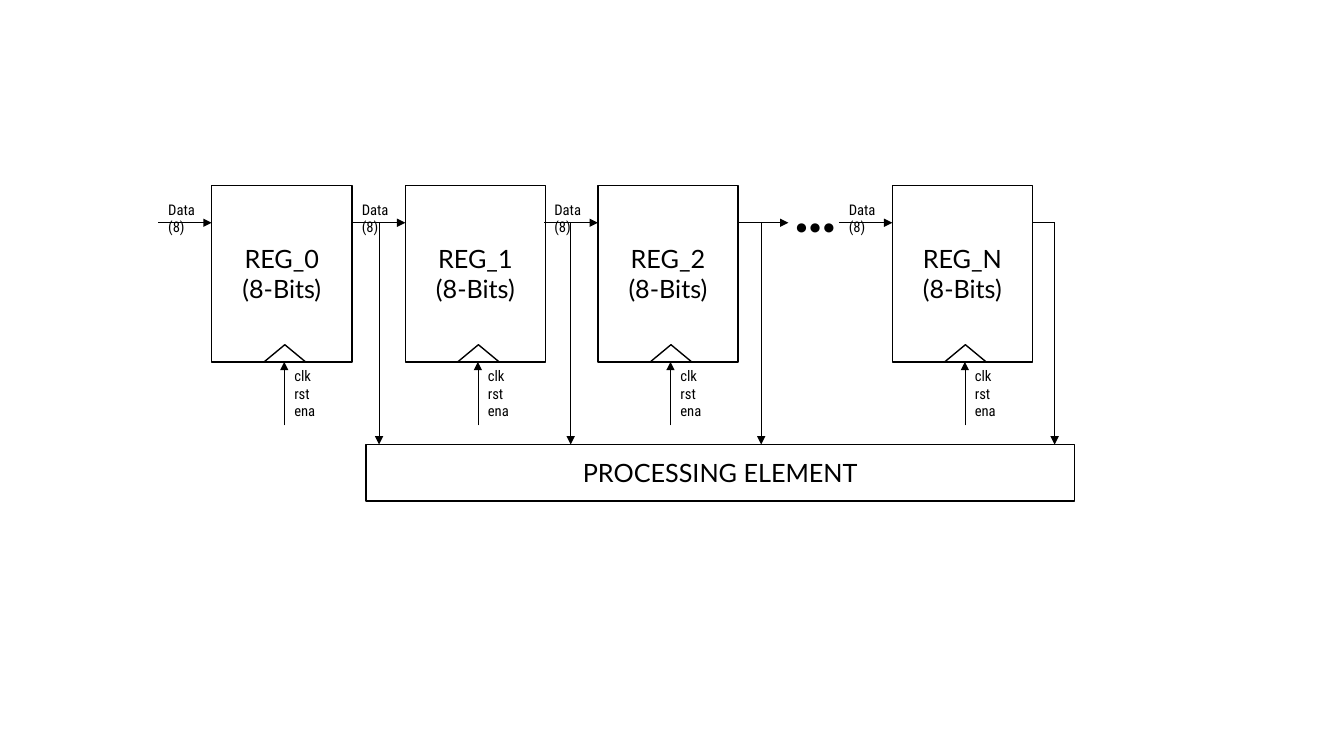
import pptx
import pptx.util
import pptx.dml.color
import pptx.enum.shapes
import pptx.enum.text
import pptx.oxml.ns
import lxml.etree

KIND = pptx.enum.shapes.MSO_SHAPE
ALIGN = pptx.enum.text.PP_ALIGN
ANCHOR = pptx.enum.text.MSO_ANCHOR
FIT = pptx.enum.text.MSO_AUTO_SIZE
INCH = pptx.util.Inches

THEME = {
    "ink": pptx.dml.color.RGBColor(0, 0, 0),
    "paper": pptx.dml.color.RGBColor(255, 255, 255),
    "block": {"font": "Lato", "size": 18},
    "note": {"font": "Roboto Condensed", "size": 10.5},
    "dots": {"font": "Calibri", "size": 44, "bold": True},
    "edge": 1,
    "wire": 0.5,
}

deck = pptx.Presentation()
deck.slide_width, deck.slide_height = INCH(13.33), INCH(7.5)
slide = deck.slides.add_slide(deck.slide_layouts[6])


def box(text, left, top, width, height, kind=None, font=None, size=None, bold=False):
    """Draw a centred block of the given kind, or a plain text box."""
    area = [INCH(n) for n in (left, top, width, height)]
    if kind is None:
        shape = slide.shapes.add_textbox(*area)
    else:
        shape = slide.shapes.add_shape(kind, *area)
        shape.shadow.inherit = False
        shape.fill.solid()
        shape.fill.fore_color.rgb = THEME["paper"]
        shape.line.color.rgb = THEME["ink"]
        shape.line.width = pptx.util.Pt(THEME["edge"])
    if not text:
        return
    frame = shape.text_frame
    frame.word_wrap = True
    frame.text = text
    if kind is None:
        frame.auto_size = FIT.SHAPE_TO_FIT_TEXT
    else:
        frame.vertical_anchor = ANCHOR.MIDDLE
    for para in frame.paragraphs:
        para.alignment = ALIGN.LEFT if kind is None else ALIGN.CENTER
        face = para.runs[0].font
        face.name, face.size, face.bold = font, pptx.util.Pt(size), bold
        face.color.rgb = THEME["ink"]


def wire(x1, y1, x2, y2, tip=True):
    """Draw a straight wire, with an arrowhead at its end if tip is set."""
    line = slide.shapes.add_connector(
        pptx.enum.shapes.MSO_CONNECTOR.STRAIGHT, *[INCH(n) for n in (x1, y1, x2, y2)])
    line.line.color.rgb = THEME["ink"]
    line.line.width = pptx.util.Pt(THEME["wire"])
    qn = pptx.oxml.ns.qn
    if tip:
        lxml.etree.SubElement(line.line._get_or_add_ln(), qn("a:tailEnd"), type="triangle")
    lxml.etree.SubElement(line._element.spPr, qn("a:effectLst"))


# Grid: rows of the diagram and the left edge of each register
TOP, BUS, BASE, START, CORE = 1.84, 2.21, 3.59, 4.22, 4.41
WIDE, LEAD, MID = 1.39, 0.53, 0.72
REGS = {"REG_0": 2.1, "REG_1": 4.02, "REG_2": 5.93, "REG_N": 8.85}
TAPS = [3.76, 5.66, 7.55, 10.46]

# Registers with data input, clock mark and control input
for name, left in REGS.items():
    clock = left + MID
    box(f"{name}\n(8-Bits)", left, TOP, WIDE, BASE - TOP, kind=KIND.RECTANGLE, **THEME["block"])
    box("", clock - 0.2, BASE - 0.17, 0.41, 0.17, kind=KIND.ISOSCELES_TRIANGLE)
    wire(left - LEAD, BUS, left, BUS)
    wire(clock, START, clock, BASE)
    box("clk\nrst\nena", clock, BASE, 0.45, START - BASE, **THEME["note"])
    box("Data (8)", left - LEAD, 1.94, 0.62, 0.28, **THEME["note"])

# Gap in the chain
box("…", 7.77, 1.65, 0.62, 0.84, **THEME["dots"])
wire(REGS["REG_2"] + WIDE, BUS, 7.82, BUS)

# Taps down to the processing element
wire(REGS["REG_N"] + WIDE, BUS, TAPS[-1], BUS, tip=False)
for tap in TAPS:
    wire(tap, BUS, tap, CORE)
box("PROCESSING ELEMENT", 3.63, CORE, 7.03, 0.56, kind=KIND.RECTANGLE, **THEME["block"])

deck.save("out.pptx")
